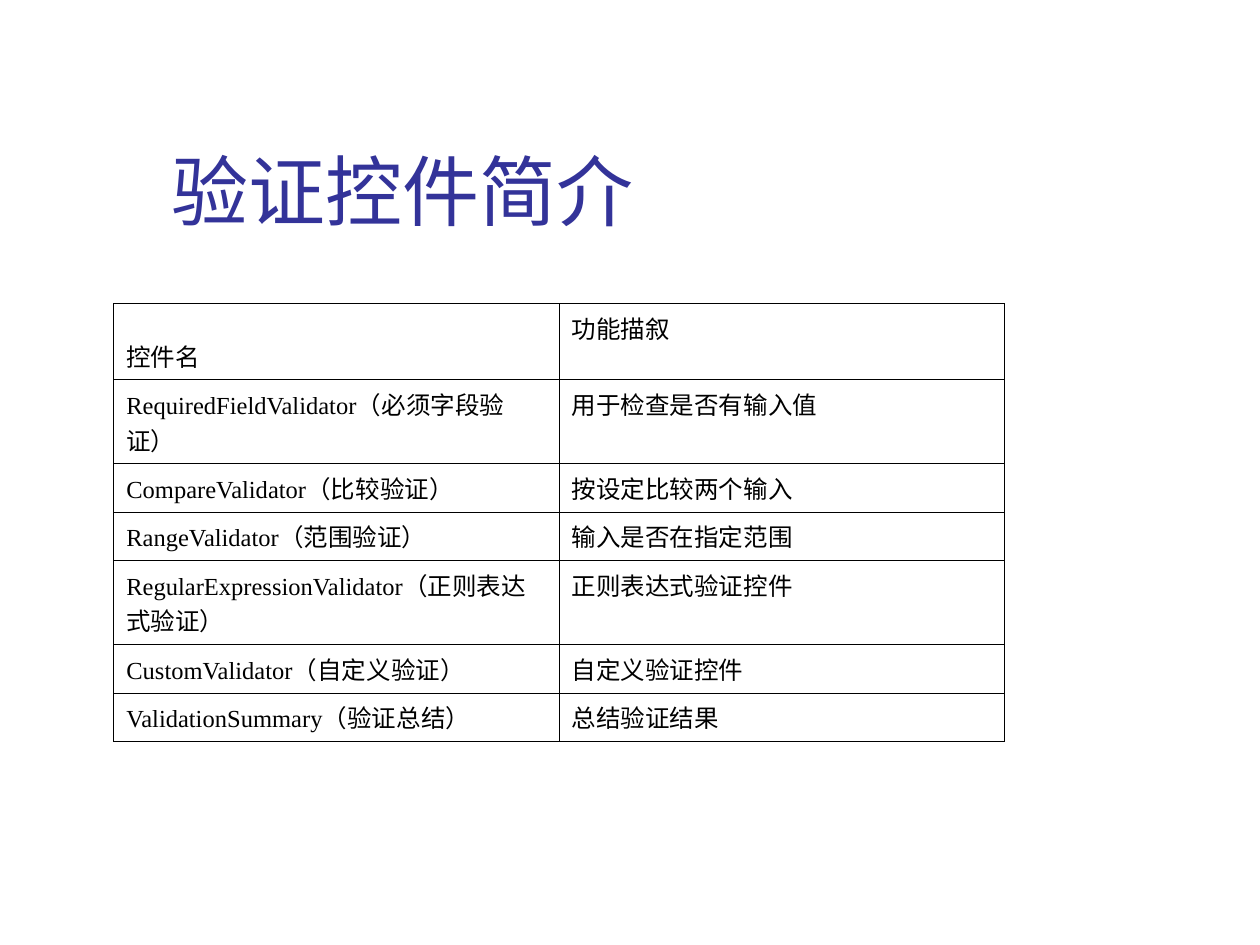
from pptx import Presentation
from pptx.dml.color import RGBColor
from pptx.enum.text import MSO_ANCHOR, PP_ALIGN
from pptx.oxml import parse_xml
from pptx.oxml.ns import nsdecls
from pptx.util import Pt


def style(p, name, size, color):
    for r in p.runs:
        r.font.name = name
        r.font.size = Pt(size)
        r.font.color.rgb = RGBColor.from_string(color)


def add_borders(cell, color, width):
    tcPr = cell._tc.get_or_add_tcPr()
    for i, side in enumerate(("lnL", "lnR", "lnT", "lnB")):
        tcPr.insert(i, parse_xml(
            f'<a:{side} {nsdecls("a")} w="{Pt(width)}"><a:solidFill>'
            f'<a:srgbClr val="{color}"/></a:solidFill></a:{side}>'))


prs = Presentation()
prs.slide_width, prs.slide_height = Pt(720), Pt(540)
s = prs.slides.add_slide(prs.slide_layouts[5])

title = s.shapes.title
title.left, title.top, title.width, title.height = Pt(90.7), Pt(48.2), Pt(613.4), Pt(90)
tf = title.text_frame
tf.text = "验证控件简介"
tf.vertical_anchor = MSO_ANCHOR.BOTTOM
tf.paragraphs[0].alignment = PP_ALIGN.LEFT
style(tf.paragraphs[0], "Roboto", 44, "333399")

TALL, LOW = 41, 24.5
rows = [
    (43.4, "控件名", "功能描叙"),
    (TALL, "RequiredFieldValidator（必须字段验证）", "用于检查是否有输入值"),
    (LOW, "CompareValidator（比较验证）", "按设定比较两个输入"),
    (LOW, "RangeValidator（范围验证）", "输入是否在指定范围"),
    (TALL, "RegularExpressionValidator（正则表达式验证）", "正则表达式验证控件"),
    (LOW, "CustomValidator（自定义验证）", "自定义验证控件"),
    (LOW, "ValidationSummary（验证总结）", "总结验证结果"),
]
table_height = sum(height for height, *_ in rows)
table = s.shapes.add_table(len(rows), 2, Pt(65), Pt(173.5), Pt(509), Pt(table_height)).table
table.first_row = table.horz_banding = False
for column in table.columns:
    column.width = Pt(254.5)

for i, (height, *texts) in enumerate(rows):
    table.rows[i].height = Pt(height)
    for j, text in enumerate(texts):
        cell = table.cell(i, j)
        cell.text = text
        cell.margin_left = cell.margin_right = Pt(7.2)
        cell.margin_top = cell.margin_bottom = Pt(3.6)
        cell.fill.background()
        add_borders(cell, "000000", 0.45)
        style(cell.text_frame.paragraphs[0], "Times New Roman", 14, "000000")
table.cell(0, 0).vertical_anchor = MSO_ANCHOR.BOTTOM

prs.save("out.pptx")
